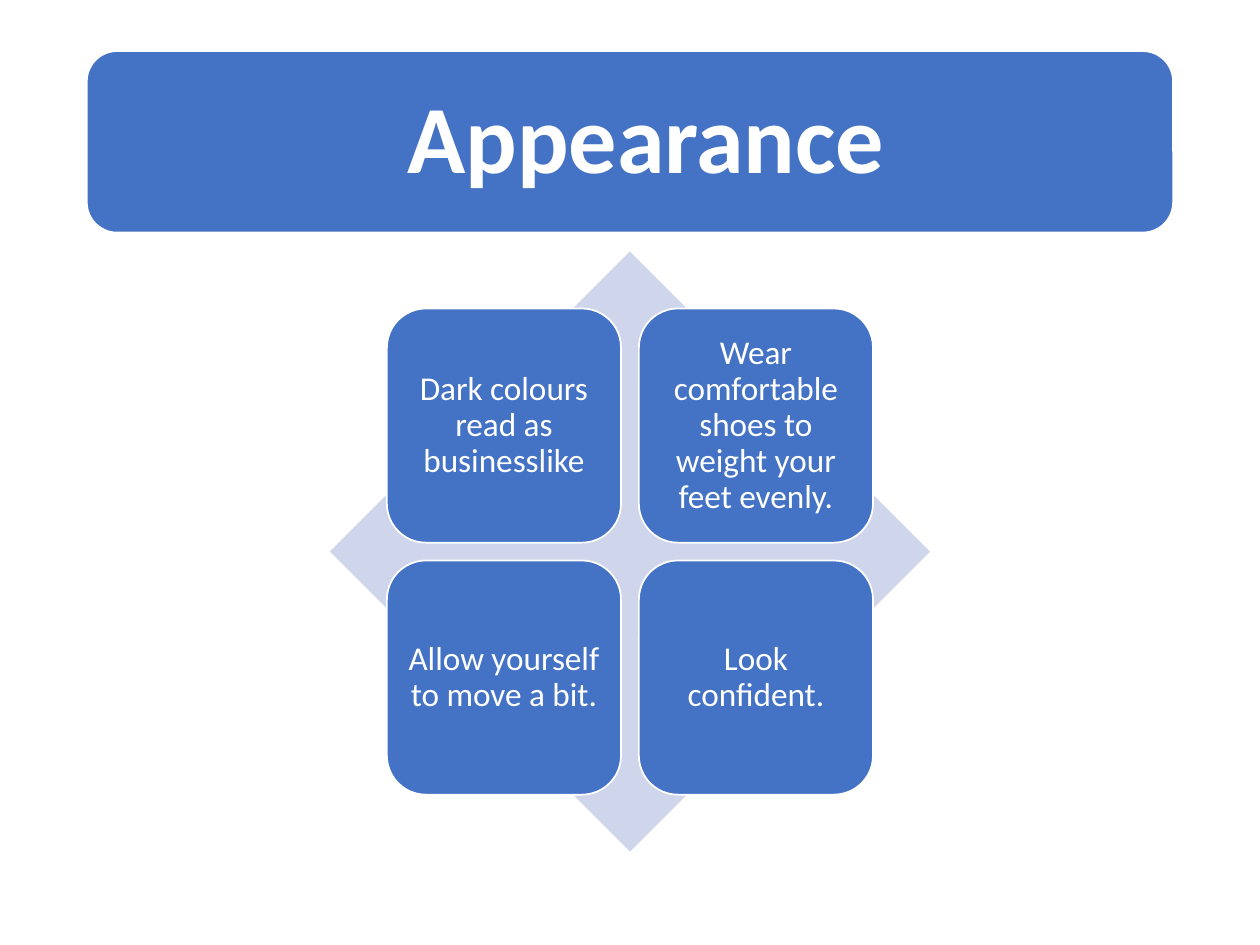
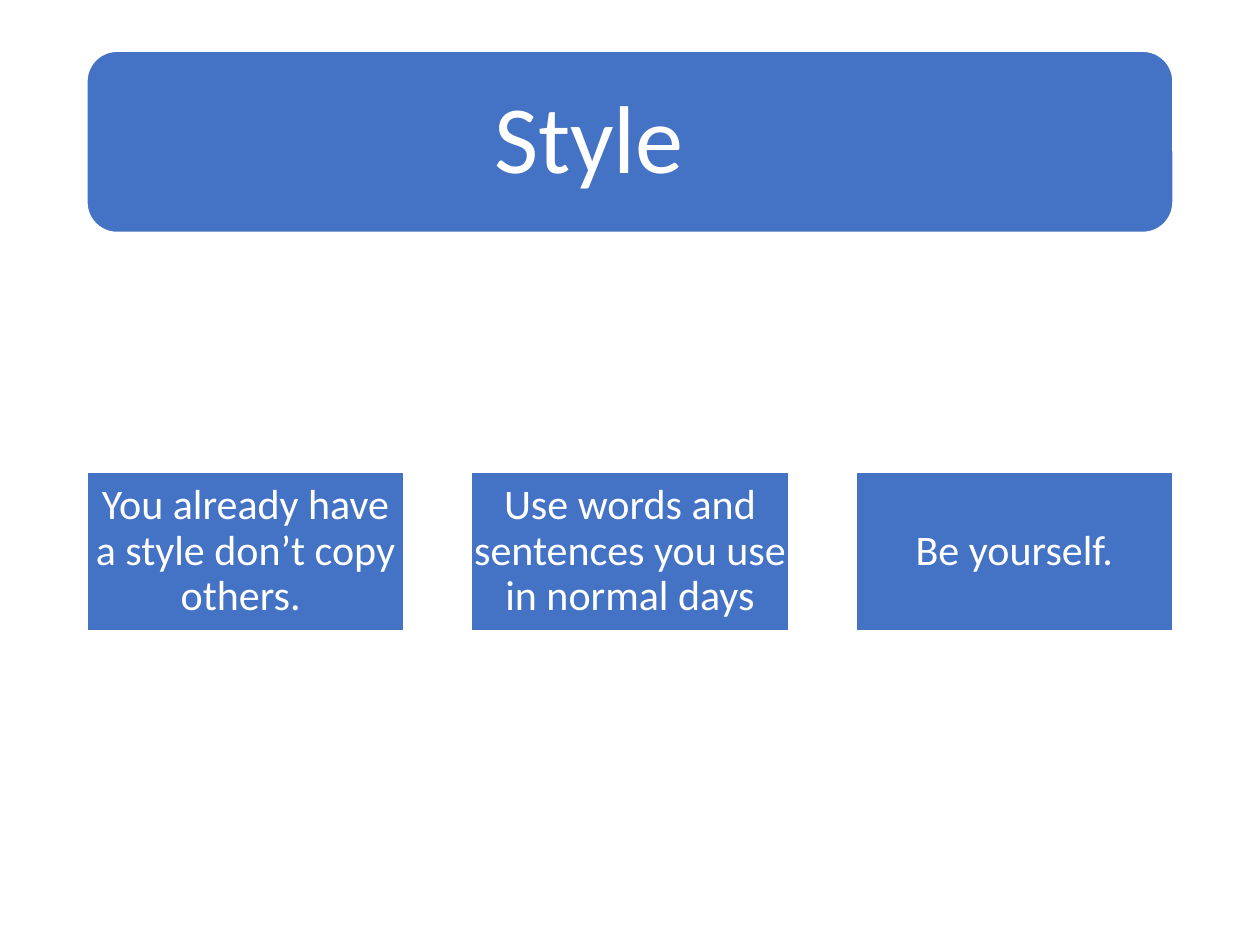
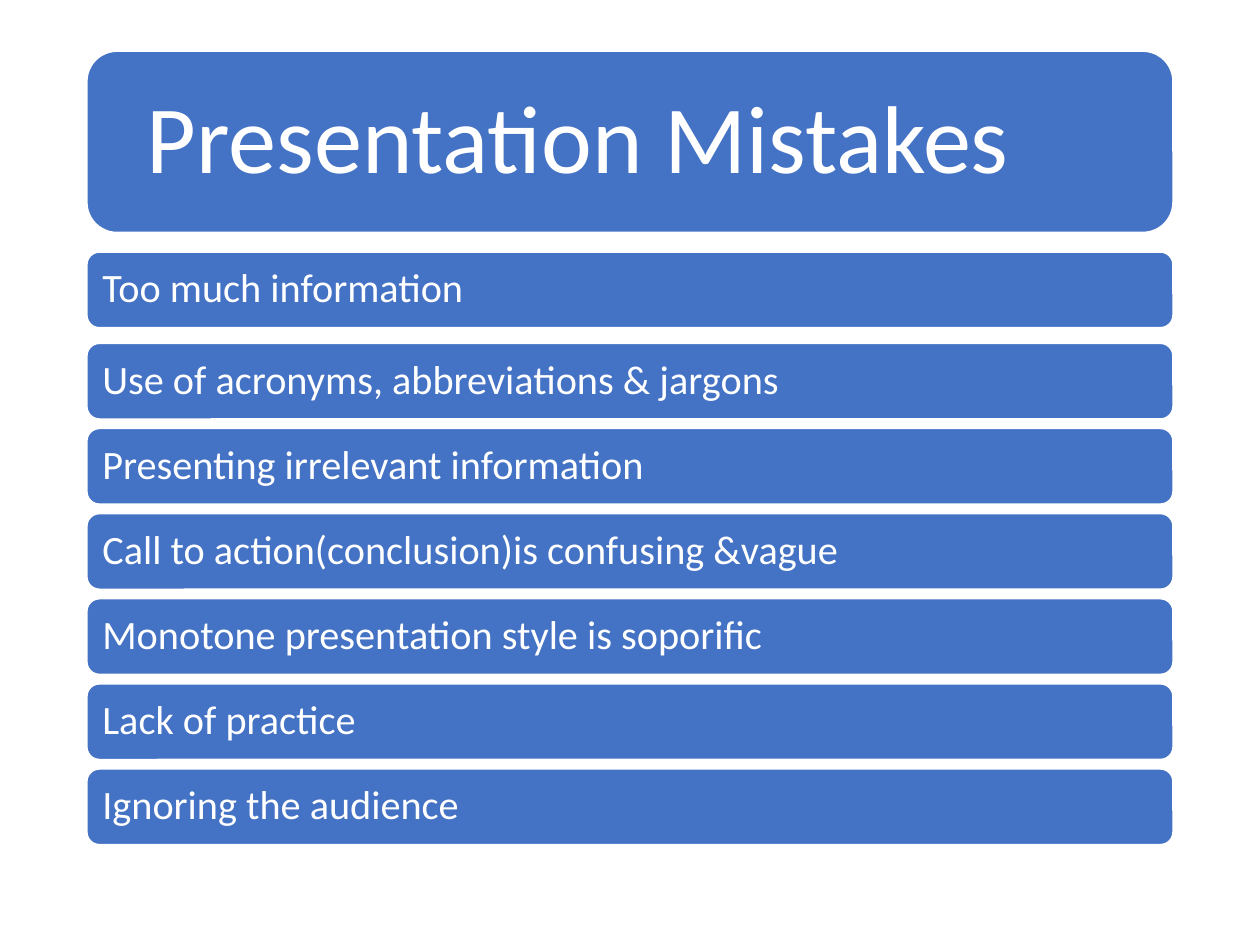
from pptx import Presentation
from pptx.dml.color import RGBColor
from pptx.enum.shapes import MSO_SHAPE as SHAPE
from pptx.enum.text import MSO_ANCHOR, MSO_AUTO_SIZE, PP_ALIGN
from pptx.util import Cm, Pt

BLUE, PALE, WHITE = "4472C4", "CFD5EA", "FFFFFF"
FONT = "Calibri"
LEFT, WIDTH = 1.75, 21.9
BAND_TOP, BAND_HEIGHT = 1.03, 3.66


def rgb(value):
    return RGBColor.from_string(value)


def write(sp, text, size, bold=False, align=PP_ALIGN.CENTER, inset=0.0, left=None):
    """Fill a shape with one paragraph; left overrides the inset on that side."""
    tf = sp.text_frame
    tf.word_wrap = True
    tf.auto_size = MSO_AUTO_SIZE.NONE
    tf.vertical_anchor = MSO_ANCHOR.MIDDLE
    tf.margin_top = tf.margin_right = tf.margin_bottom = Cm(inset)
    tf.margin_left = Cm(inset if left is None else left)
    p = tf.paragraphs[0]
    p.alignment = align
    p.line_spacing = 0.9
    r = p.add_run()
    r.text = text
    r.font.name = FONT
    r.font.size = Pt(size)
    r.font.bold = bold
    r.font.color.rgb = rgb(WHITE)


def add_block(slide, kind, x, y, w, h, fill=BLUE, line=WHITE):
    sp = slide.shapes.add_shape(kind, Cm(x), Cm(y), Cm(w), Cm(h))
    sp.shadow.inherit = False
    sp.fill.solid()
    sp.fill.fore_color.rgb = rgb(fill)
    if line:
        sp.line.color.rgb = rgb(line)
        sp.line.width = Pt(1)
    else:
        sp.line.fill.background()
    return sp


def add_titled_slide(prs, text, indent, bold=False):
    """Add a slide whose title stands on the blue band."""
    slide = prs.slides.add_slide(prs.slide_layouts[5])
    band = add_block(slide, SHAPE.ROUNDED_RECTANGLE, LEFT, BAND_TOP, WIDTH, BAND_HEIGHT)
    title = slide.shapes.title
    title.left, title.top = Cm(LEFT + 0.18), Cm(BAND_TOP + 0.18)
    title.width, title.height = Cm(WIDTH - 0.36), Cm(BAND_HEIGHT - 0.36)
    write(title, text, 55, bold=bold, align=PP_ALIGN.LEFT, inset=0.58, left=indent)
    band._element.addnext(title._element)
    return slide


def add_matrix(slide, texts):
    """Four tiles, two by two, on a pale diamond."""
    add_block(slide, SHAPE.DIAMOND, 6.65, 5.07, 12.1, 12.1, fill=PALE, line=None)
    pitch = 5.08
    for i, text in enumerate(texts):
        row, col = divmod(i, 2)
        tile = add_block(slide, SHAPE.ROUNDED_RECTANGLE,
                         7.8 + col * pitch, 6.22 + row * pitch, 4.72, 4.72)
        write(tile, text, 19, inset=0.15)


def add_cards(slide, texts):
    card_width = 6.4
    pitch = (WIDTH - card_width) / (len(texts) - 1)
    for i, text in enumerate(texts):
        card = add_block(slide, SHAPE.RECTANGLE, LEFT + i * pitch, 9.52, card_width, 3.2)
        write(card, text, 24, inset=0.02)


def add_bars(slide, texts):
    """Stacked bars; the first stands slightly apart from the even rest."""
    second, last = 6.92, 15.5
    pitch = (last - second) / (len(texts) - 2)
    tops = [5.08] + [second + i * pitch for i in range(len(texts) - 1)]
    for top, text in zip(tops, texts):
        bar = add_block(slide, SHAPE.ROUNDED_RECTANGLE, LEFT, top, WIDTH, 1.53)
        write(bar, text, 23, align=PP_ALIGN.LEFT, inset=0.24)


def main():
    prs = Presentation()
    prs.slide_width, prs.slide_height = Cm(25.4), Cm(19.05)

    add_matrix(add_titled_slide(prs, "Appearance", 6.28, bold=True), [
        "Dark colours read as businesslike",
        "Wear comfortable shoes to weight your feet evenly.",
        "Allow yourself to move a bit.",
        "Look confident.",
    ])
    add_cards(add_titled_slide(prs, "Style", 8.03), [
        "You already have a style don’t copy others. ",
        "Use words and sentences you use in normal days",
        "Be yourself.",
    ])
    add_bars(add_titled_slide(prs, "Presentation Mistakes", 1.03), [
        "Too much information",
        "Use of acronyms, abbreviations & jargons",
        "Presenting irrelevant information",
        "Call to action(conclusion)is confusing &vague",
        "Monotone presentation style is soporific",
        "Lack of practice",
        "Ignoring the audience",
    ])
    prs.save("out.pptx")


if __name__ == "__main__":
    main()
